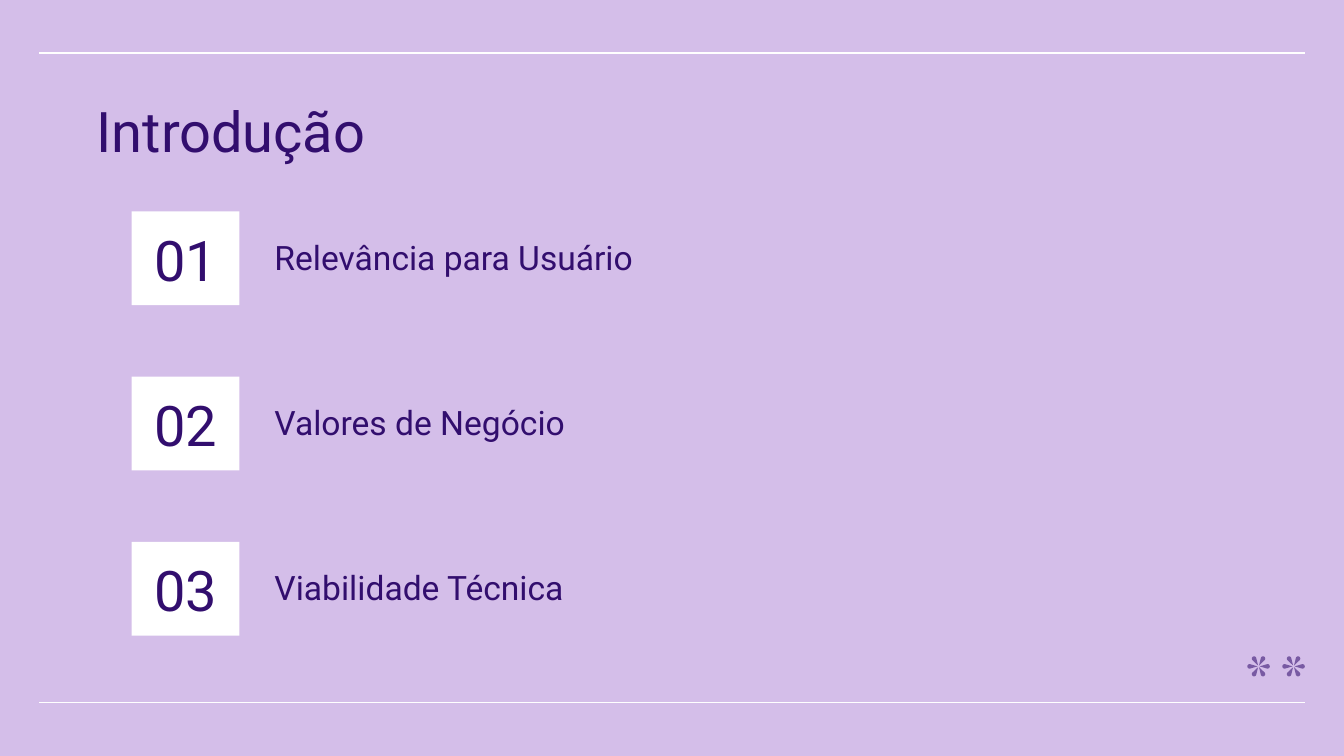
"""Builds the introduction slide with three numbered topics."""
from math import cos, radians, sin

from lxml.etree import SubElement
from pptx import Presentation
from pptx.dml.color import RGBColor
from pptx.enum.shapes import MSO_CONNECTOR as CONN, MSO_SHAPE as SHAPE
from pptx.enum.text import MSO_ANCHOR as ANCHOR, MSO_AUTO_SIZE as AUTO, PP_ALIGN as ALIGN
from pptx.oxml.ns import qn
from pptx.util import Pt

PX = 9525
LILAC = RGBColor(0xD4, 0xBE, 0xE9)
WHITE = RGBColor(0xFF, 0xFF, 0xFF)
INK = RGBColor(0x32, 0x0E, 0x6E)
VIOLET = RGBColor(0x78, 0x5A, 0xA3)
TOPICS = ["Relevância para Usuário", "Valores de Negócio", "Viabilidade Técnica"]


class Deck:
    """Holds the text style and the current slide."""

    def __init__(self, slide):
        self.slide = slide
        self.shapes = slide.shapes
        self.font = {"name": "Roboto", "bold": False}
        self.frame = {"word_wrap": True, "auto_size": AUTO.NONE}
        for side in ("left", "top", "right", "bottom"):
            self.frame[f"margin_{side}"] = 9 * PX

    def background(self, color):
        fill = self.slide.background.fill
        fill.solid()
        fill.fore_color.rgb = color

    def set_text(self, sp, text, size, align=ALIGN.LEFT, anchor=ANCHOR.TOP):
        tf = sp.text_frame
        for key, value in {**self.frame, "vertical_anchor": anchor}.items():
            setattr(tf, key, value)
        p = tf.paragraphs[0]
        for key, value in {"alignment": align, "space_before": Pt(0)}.items():
            setattr(p, key, value)
        r = p.add_run()
        r.text = text
        for key, value in {**self.font, "size": Pt(size)}.items():
            setattr(r.font, key, value)
        r.font.color.rgb = INK
        return p

    def placeholder(self, sp, text, size, x, y, w, h):
        box = {"left": x, "top": y, "width": w, "height": h}
        for key, value in box.items():
            setattr(sp, key, value * PX)
        pPr = self.set_text(sp, text, size)._p.get_or_add_pPr()
        for key in ("marL", "indent"):
            pPr.set(key, "0")
        SubElement(pPr, qn("a:buNone"))

    def paint(self, sp, color):
        sp.shadow.inherit = False
        sp.fill.solid()
        sp.fill.fore_color.rgb = color
        sp.line.fill.background()

    def number(self, text, x, y, w, h):
        sp = self.shapes.add_shape(SHAPE.RECTANGLE, x * PX, y * PX, w * PX, h * PX)
        self.paint(sp, WHITE)
        self.set_text(sp, text, 30, ALIGN.CENTER, ANCHOR.BOTTOM)

    def rule(self, x1, x2, y):
        line = self.shapes.add_connector(CONN.STRAIGHT, x1 * PX, y * PX, x2 * PX, y * PX)
        line.line.color.rgb = WHITE
        line.line.width = Pt(0.75)
        SubElement(line._element.spPr, qn("a:effectLst"))

    def asterisk(self, cx, cy):
        cap = [(6.4 + 1.6 * cos(radians(a)), 1.6 * sin(radians(a))) for a in range(-105, 106, 15)]
        petal = [(0.7, 0)] + cap
        for turn in range(0, 360, 60):
            c, s = cos(radians(turn)), sin(radians(turn))
            points = [((cx + u * c - v * s) * PX, (cy + u * s + v * c) * PX) for u, v in petal]
            outline = self.shapes.build_freeform(*points[0], scale=1.0)
            outline.add_line_segments(points[1:], close=True)
            self.paint(outline.convert_to_shape(), VIOLET)


def main():
    prs = Presentation()
    prs.slide_width, prs.slide_height = 960 * PX, 540 * PX
    slide = prs.slides.add_slide(prs.slide_layouts.get_by_name("Comparison"))
    deck = Deck(slide)
    deck.background(LILAC)
    for y in (38, 502):
        deck.rule(28, 932, y)
    for x in (899, 924):
        deck.asterisk(x, 476)

    title, *bodies = [sp for sp in slide.placeholders if sp.placeholder_format.idx < 10]
    deck.placeholder(title, "Introdução", 30, 60, 60, 809, 60)
    for i, (sp, topic) in enumerate(zip(bodies, TOPICS)):
        y = 151 + 118 * i
        deck.number(f"{i + 1:02}", 94, y, 77, 67)
        deck.placeholder(sp, topic, 18, 187, y + 9, 277, 48)
    for sp in bodies[len(TOPICS):]:
        sp._element.getparent().remove(sp._element)
    prs.save("out.pptx")


if __name__ == "__main__":
    main()
